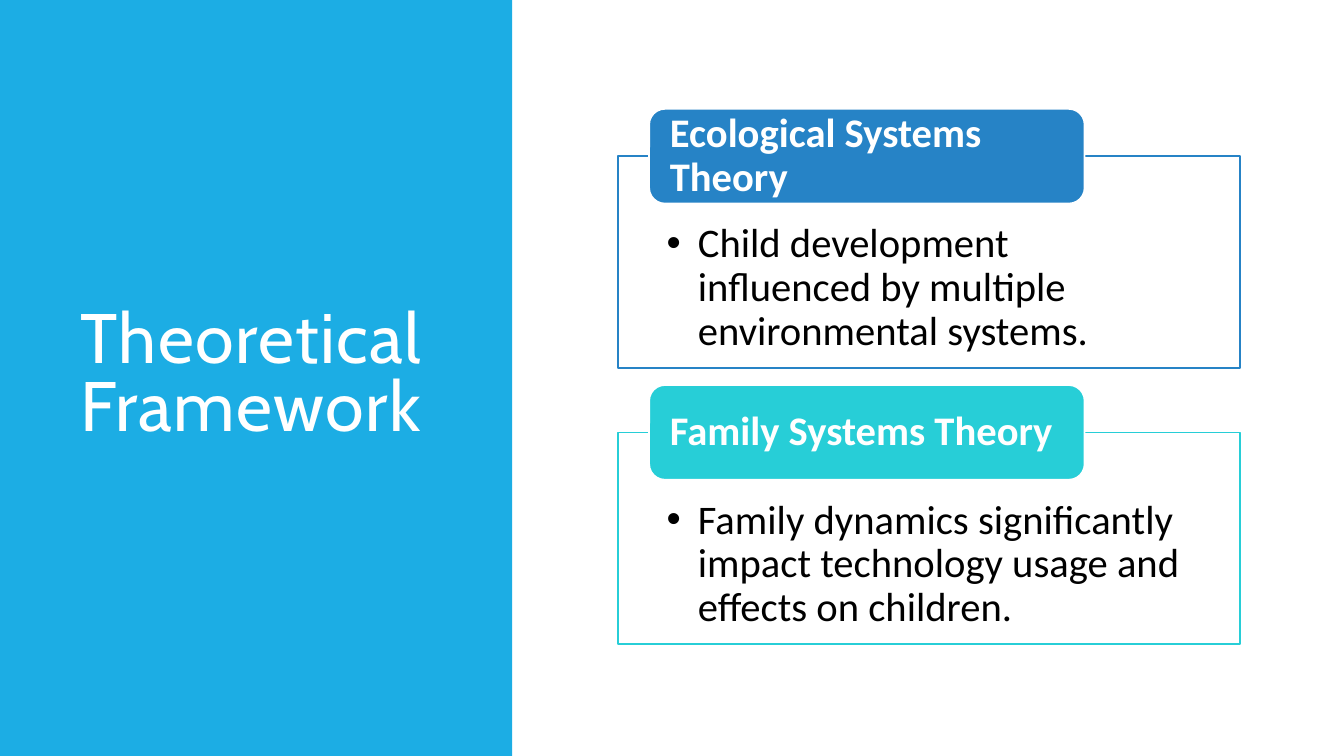
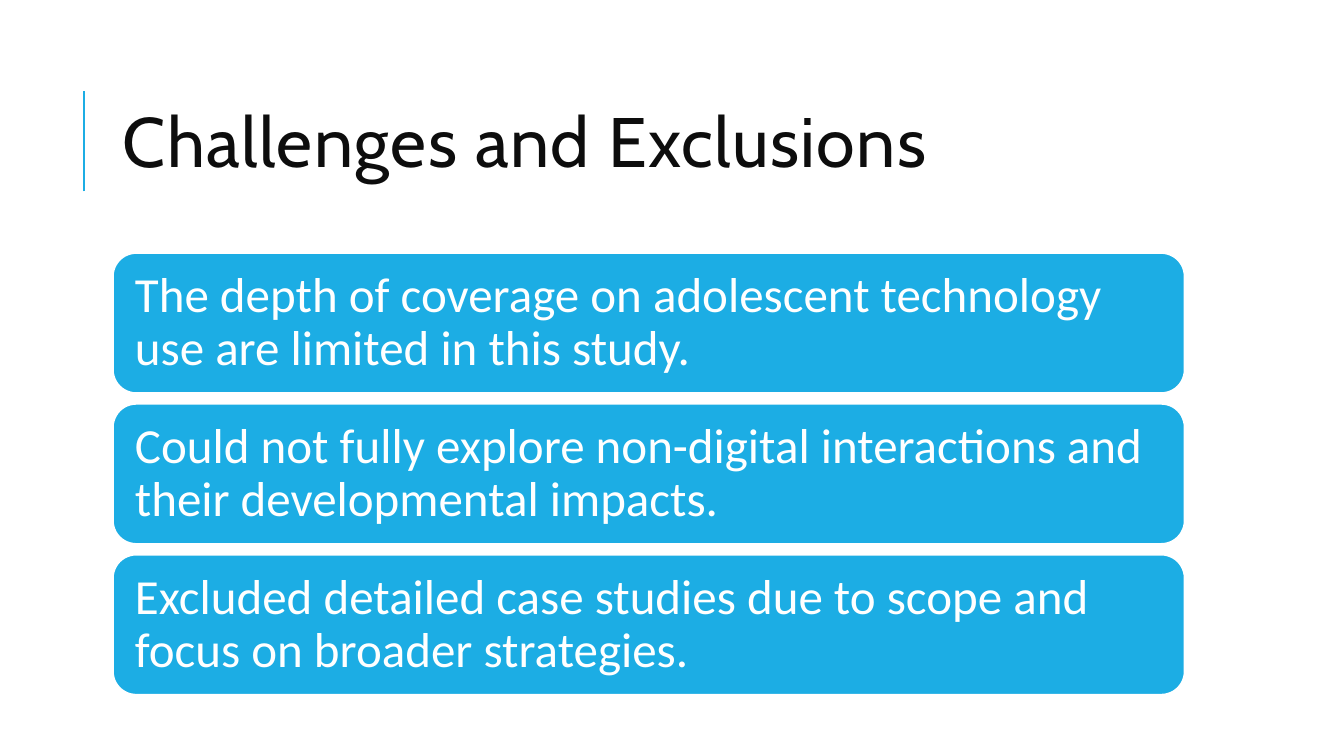
from lxml.etree import SubElement
from pptx import Presentation
from pptx.dml.color import RGBColor
from pptx.enum.shapes import MSO_CONNECTOR, MSO_SHAPE
from pptx.enum.text import MSO_ANCHOR, MSO_AUTO_SIZE, PP_ALIGN
from pptx.oxml.ns import qn
from pptx.util import Inches, Pt

WHITE, BLACK, INK = "FFFFFF", "000000", "0D0D0D"
SKY, BLUE, TURQUOISE = "1CADE4", "2683C6", "27CED7"
TITLE_FONT, BODY_FONT = "Cabin", "Calibri"
TITLE_ONLY, TWO_CONTENT = 5, 3


def color(value):
    return RGBColor.from_string(value)


class Deck:
    def __init__(self):
        self.presentation = Presentation()
        self.presentation.slide_width = Inches(13.333)
        self.presentation.slide_height = Inches(7.5)
        self.slide = None

    def columns(self, percent):
        return round(self.presentation.slide_width * percent / 100)

    def rows(self, percent):
        return round(self.presentation.slide_height * percent / 100)

    def box(self, left, top, width, height):
        return self.columns(left), self.rows(top), self.columns(width), self.rows(height)

    def add_slide(self, layout):
        self.slide = self.presentation.slides.add_slide(self.presentation.slide_layouts[layout])

    def place(self, shape, area):
        shape.left, shape.top, shape.width, shape.height = self.box(*area)

    def paint(self, shape, fill, line=None):
        shape.fill.solid()
        shape.fill.fore_color.rgb = color(fill)
        if line:
            shape.line.color.rgb = color(line)
            shape.line.width = Pt(1.25)
        else:
            shape.line.fill.background()

    def set_text(self, shape, text, size, ink, font=BODY_FONT, bold=False,
                 spacing=0.9, anchor=MSO_ANCHOR.MIDDLE, insets=None):
        frame = shape.text_frame
        frame.text = text
        frame.word_wrap = True
        frame.auto_size = MSO_AUTO_SIZE.NONE
        frame.vertical_anchor = anchor
        if insets:
            side, top, bottom = insets
            frame.margin_left = frame.margin_right = self.columns(side)
            frame.margin_top, frame.margin_bottom = self.rows(top), self.rows(bottom)
        paragraph = frame.paragraphs[0]
        paragraph.alignment = PP_ALIGN.LEFT
        paragraph.line_spacing = spacing
        paragraph.space_before = Pt(0)
        run = paragraph.runs[0]
        run.font.name, run.font.size, run.font.bold = font, Pt(size), bold
        run.font.color.rgb = color(ink)
        return paragraph

    def title(self, text, area, ink):
        title = self.slide.shapes.title
        self.place(title, area)
        paragraph = self.set_text(title, text, 50, ink, TITLE_FONT, spacing=0.8)
        paragraph.runs[0]._r.get_or_add_rPr().set("spc", "100")
        self.slide.shapes._spTree.append(title._element)

    def block(self, kind, area, fill, line=None):
        shape = self.slide.shapes.add_shape(kind, *self.box(*area))
        shape.shadow.inherit = False
        self.paint(shape, fill, line)
        return shape

    def card(self, text, area, fill, size, insets, bold=False):
        shape = self.block(MSO_SHAPE.ROUNDED_RECTANGLE, area, fill, WHITE)
        self.set_text(shape, text, size, WHITE, bold=bold, insets=insets)

    def panel(self, index, text, area, line):
        panel = self.slide.placeholders[index]
        self.place(panel, area)
        self.paint(panel, WHITE, line)
        paragraph = self.set_text(panel, text, 29, BLACK, anchor=MSO_ANCHOR.TOP,
                                  insets=(3.6, 8.8, 3.07))
        indent = self.columns(2.33)
        properties = paragraph._p.get_or_add_pPr()
        properties.set("marL", str(indent))
        properties.set("indent", str(-indent))

    def rule(self, column, top, bottom):
        connector = self.slide.shapes.add_connector(
            MSO_CONNECTOR.STRAIGHT, self.columns(column), self.rows(bottom),
            self.columns(column), self.rows(top))
        connector.line.color.rgb = color(SKY)
        connector.line.width = Pt(1.5)
        SubElement(connector._element.spPr, qn("a:effectLst"))


def theoretical_framework(deck):
    deck.add_slide(TWO_CONTENT)
    deck.block(MSO_SHAPE.RECTANGLE, (0, 0, 38.1, 100), SKY)
    deck.title("Theoretical Framework", (5.25, 9.33, 28.05, 81.2), WHITE)
    theories = [
        ("Ecological Systems Theory",
         "Child development influenced by multiple environmental systems.", BLUE),
        ("Family Systems Theory",
         "Family dynamics significantly impact technology usage and effects on children.",
         TURQUOISE),
    ]
    for index, (name, summary, accent) in enumerate(theories):
        top = 14.4 + index * 36.53
        deck.panel(index + 1, summary, (46, top + 6.27, 46.28, 28), accent)
        deck.card(name, (48.3, top, 32.4, 12.53), accent, 29, (1.2, 0, 0), bold=True)


def challenges_and_exclusions(deck):
    deck.add_slide(TITLE_ONLY)
    deck.rule(6.23, 12, 25.33)
    deck.title("Challenges and Exclusions", (8.4, 8.53, 79.74, 21.87), INK)
    challenges = [
        "The depth of coverage on adolescent technology use are limited in this study.",
        "Could not fully explore non-digital interactions and their developmental impacts.",
        "Excluded detailed case studies due to scope and focus on broader strategies.",
    ]
    for index, challenge in enumerate(challenges):
        deck.card(challenge, (8.4, 33.47 + index * 19.95, 79.74, 18.53), SKY, 35, (1.13, 2, 2))


def main():
    deck = Deck()
    theoretical_framework(deck)
    challenges_and_exclusions(deck)
    deck.presentation.save("out.pptx")


if __name__ == "__main__":
    main()
